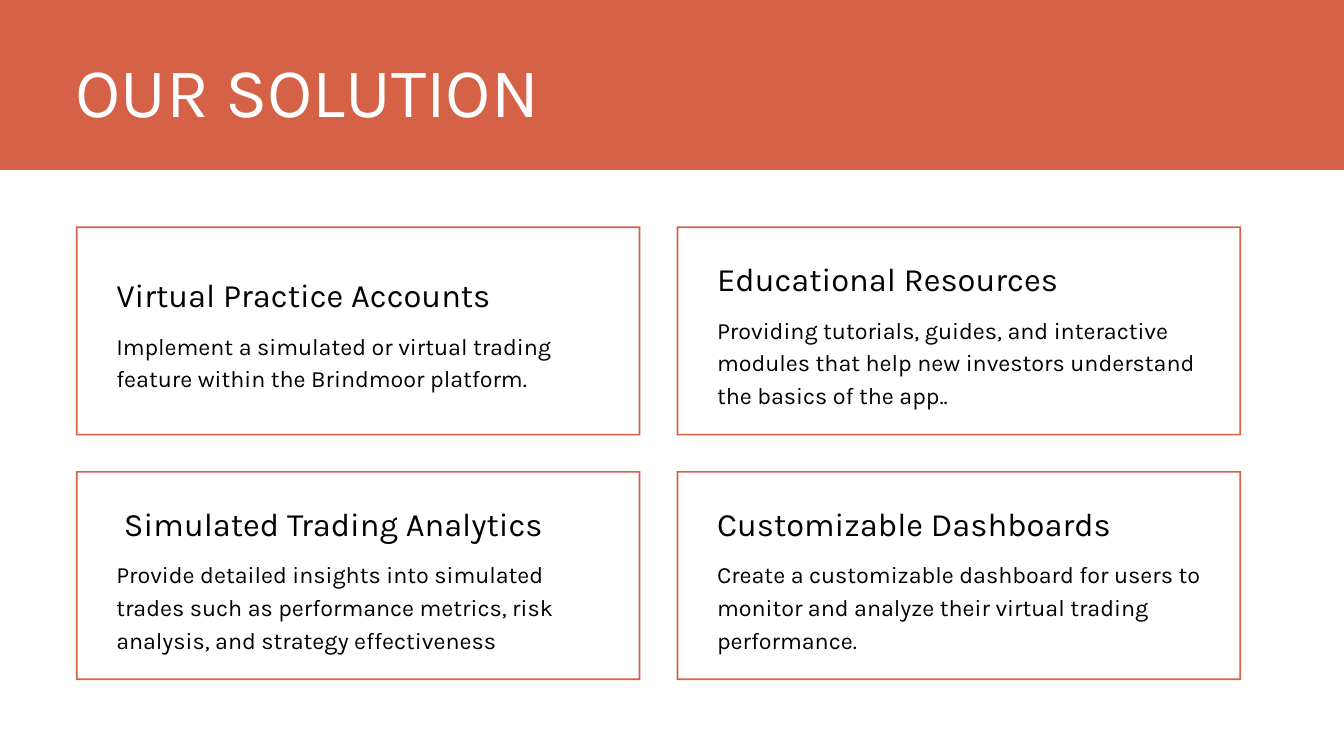
import pptx
import pptx.dml.color
import pptx.enum.shapes
import pptx.enum.text
import pptx.util

Inches = pptx.util.Inches

# Content: heading, body, number of body lines
TITLE = "OUR SOLUTION"
CARDS = [
    ("Virtual Practice Accounts",
     "Implement a simulated or virtual trading feature within the Brindmoor platform.", 2),
    ("Educational Resources",
     "Providing tutorials, guides, and interactive modules that help new investors "
     "understand the basics of the app..", 3),
    (" Simulated Trading Analytics",
     "Provide detailed insights into simulated trades such as performance metrics, "
     "risk analysis, and strategy effectiveness", 3),
    ("Customizable Dashboards",
     "Create a customizable dashboard for users to monitor and analyze their "
     "virtual trading performance.", 3),
]

# Style and layout, in inches
FONT, ACCENT, BLACK, WHITE = "Karla", "D56247", "000000", "FFFFFF"
CARD_LEFT, CARD_TOP, CARD_WIDTH, CARD_HEIGHT = 1.13, 3.37, 8.4, 3.11
COLUMN_STEP, ROW_STEP = 8.94, 3.64
BORDER = 0.025
TEXT_INDENT, TEXT_WIDTH = 0.6, 7.19
HEADING_OFFSET, BODY_OFFSET = 0.39, 0.87
BODY_LINE = 0.48


def color(value):
    return pptx.dml.color.RGBColor.from_string(value)


def paint(shape):
    shape.shadow.inherit = False
    shape.fill.solid()
    shape.fill.fore_color.rgb = color(ACCENT)
    shape.line.fill.background()


def add_text(slide, text, left, top, width, height, size, spacing, font_color):
    box = slide.shapes.add_textbox(Inches(left), Inches(top), Inches(width), Inches(height))
    frame = box.text_frame
    frame.word_wrap = True
    frame.auto_size = pptx.enum.text.MSO_AUTO_SIZE.SHAPE_TO_FIT_TEXT
    frame.margin_left = frame.margin_right = frame.margin_top = frame.margin_bottom = 0
    frame.text = text
    paragraph = frame.paragraphs[0]
    paragraph.line_spacing = pptx.util.Pt(spacing)
    font = paragraph.runs[0].font
    font.name = FONT
    font.size = pptx.util.Pt(size)
    font.color.rgb = color(font_color)


def add_card_border(slide, left, top):
    right, bottom = left + CARD_WIDTH, top + CARD_HEIGHT
    inner_left, inner_top = left + BORDER, top + BORDER
    inner_right, inner_bottom = right - BORDER, bottom - BORDER
    # The inner contour runs the opposite way, which leaves the middle open
    outer = [(left, top), (left, bottom), (right, bottom), (right, top)]
    inner = [(inner_right, inner_bottom), (inner_left, inner_bottom),
             (inner_left, inner_top), (inner_right, inner_top)]
    outer, inner = ([(Inches(x), Inches(y)) for x, y in points] for points in (outer, inner))
    builder = slide.shapes.build_freeform(*outer[0])
    builder.add_line_segments(outer[1:], close=True)
    builder.move_to(*inner[0])
    builder.add_line_segments(inner[1:], close=True)
    paint(builder.convert_to_shape())


def main():
    presentation = pptx.Presentation()
    presentation.slide_width = Inches(20)
    presentation.slide_height = Inches(11.25)
    slide = presentation.slides.add_slide(presentation.slide_layouts[6])

    # Cards in a two by two grid, short texts set half a line lower
    for index, (heading, body, lines) in enumerate(CARDS):
        row, column = divmod(index, 2)
        left = CARD_LEFT + column * COLUMN_STEP
        top = CARD_TOP + row * ROW_STEP
        add_card_border(slide, left, top)
        text_left = left + TEXT_INDENT
        heading_top = top + HEADING_OFFSET + (3 - lines) * BODY_LINE / 2
        add_text(slide, body, text_left, heading_top + BODY_OFFSET, TEXT_WIDTH,
                 lines * BODY_LINE, 25, 35, BLACK)
        add_text(slide, heading, text_left, heading_top, TEXT_WIDTH, 0.63, 35, 49, BLACK)

    # Title banner
    banner = slide.shapes.add_shape(pptx.enum.shapes.MSO_SHAPE.RECTANGLE, Inches(-0.45),
                                    Inches(-0.35), Inches(20.8), Inches(2.88))
    paint(banner)
    add_text(slide, TITLE, 1.12, 0.54, 12.16, 1.39, 75, 102, WHITE)

    presentation.save("out.pptx")


if __name__ == "__main__":
    main()
